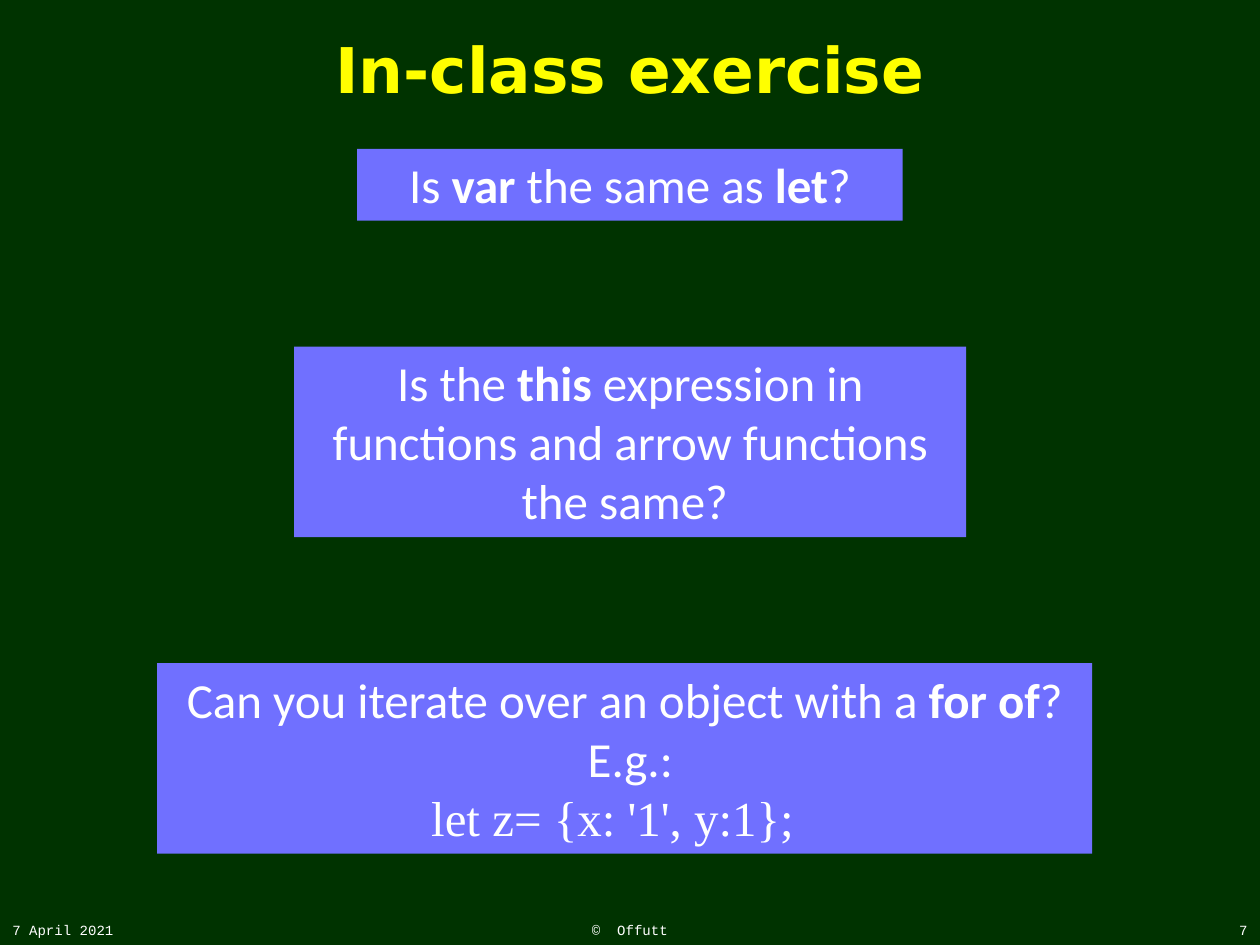
from dataclasses import dataclass

import pptx
import pptx.dml.color
import pptx.enum.shapes
import pptx.enum.text
import pptx.util
from pptx.enum.text import MSO_ANCHOR, MSO_AUTO_SIZE, PP_ALIGN
from pptx.util import Cm, Pt


def rgb(value):
    return pptx.dml.color.RGBColor.from_string(value)


@dataclass(frozen=True)
class Theme:
    background: str = "003300"
    title: str = "FFFF00"
    panel: str = "7070FF"
    text: str = "FFFFFF"
    title_font: str = "DejaVu Sans"
    body_font: str = "Calibri"
    code_font: str = "Times New Roman"
    footer_font: str = "Courier New"
    title_size: int = 36
    body_size: int = 28
    footer_size: int = 8


THEME = Theme()
SLIDE_WIDTH, SLIDE_HEIGHT = 25.4, 19.05


def style_paragraph(paragraph, font_name, size, color, alignment):
    paragraph.alignment = alignment
    paragraph.font.name = font_name
    paragraph.font.size = Pt(size)
    paragraph.font.color.rgb = rgb(color)


def add_title(slide, text):
    title = slide.shapes.title
    title.left, title.top, title.width, title.height = Cm(0.42), Cm(0), Cm(24.56), Cm(2.75)
    frame = title.text_frame
    frame.text = text
    frame.auto_size = MSO_AUTO_SIZE.NONE
    frame.vertical_anchor = MSO_ANCHOR.MIDDLE
    paragraph = frame.paragraphs[0]
    style_paragraph(paragraph, THEME.title_font, THEME.title_size, THEME.title, PP_ALIGN.CENTER)
    paragraph.font.bold = True


def add_footer(slide, text, left, width, alignment):
    height = 0.64
    box = slide.shapes.add_textbox(Cm(left), Cm(SLIDE_HEIGHT - height), Cm(width), Cm(height))
    frame = box.text_frame
    frame.word_wrap = True
    frame.vertical_anchor = MSO_ANCHOR.BOTTOM
    frame.text = text
    style_paragraph(frame.paragraphs[0], THEME.footer_font, THEME.footer_size, THEME.text, alignment)


def add_question(slide, left, top, width, height, lines):
    """Add a panel; each line is (font name, pieces), every second piece bold."""
    panel = slide.shapes.add_shape(
        pptx.enum.shapes.MSO_SHAPE.RECTANGLE, Cm(left), Cm(top), Cm(width), Cm(height))
    panel.shadow.inherit = False
    panel.fill.solid()
    panel.fill.fore_color.rgb = rgb(THEME.panel)
    panel.line.fill.background()
    frame = panel.text_frame
    frame.word_wrap = True
    frame.auto_size = MSO_AUTO_SIZE.SHAPE_TO_FIT_TEXT
    frame.vertical_anchor = MSO_ANCHOR.TOP
    for index, (font_name, pieces) in enumerate(lines):
        paragraph = frame.add_paragraph() if index else frame.paragraphs[0]
        style_paragraph(paragraph, font_name, THEME.body_size, THEME.text, PP_ALIGN.CENTER)
        for position, piece in enumerate(pieces):
            run = paragraph.add_run()
            run.text = piece
            run.font.bold = position % 2 == 1


def main():
    presentation = pptx.Presentation()
    presentation.slide_width = Cm(SLIDE_WIDTH)
    presentation.slide_height = Cm(SLIDE_HEIGHT)
    slide = presentation.slides.add_slide(presentation.slide_layouts[5])
    slide.background.fill.solid()
    slide.background.fill.fore_color.rgb = rgb(THEME.background)

    add_title(slide, "In-class exercise")

    side_width, middle_width = 5.29, 8.04
    add_footer(slide, "7 April 2021", 0, side_width, PP_ALIGN.LEFT)
    add_footer(slide, "©  Offutt", (SLIDE_WIDTH - middle_width) / 2, middle_width, PP_ALIGN.CENTER)
    add_footer(slide, "7", SLIDE_WIDTH - side_width, side_width, PP_ALIGN.RIGHT)

    body = THEME.body_font
    add_question(slide, 7.2, 3, 11, 1.45, [
        (body, ["Is ", "var", " the same as ", "let", "?"])])
    add_question(slide, 5.93, 6.99, 13.55, 3.84, [
        (body, ["Is the ", "this", " expression in functions and arrow functions the same? "])])
    add_question(slide, 3.17, 13.37, 18.85, 3.84, [
        (body, ["Can you iterate over an object with a ", "for of", "?"]),
        (body, [" E.g.:"]),
        (THEME.code_font, ["let z= {x: '1', y:1};  "])])

    presentation.save("out.pptx")


if __name__ == "__main__":
    main()
